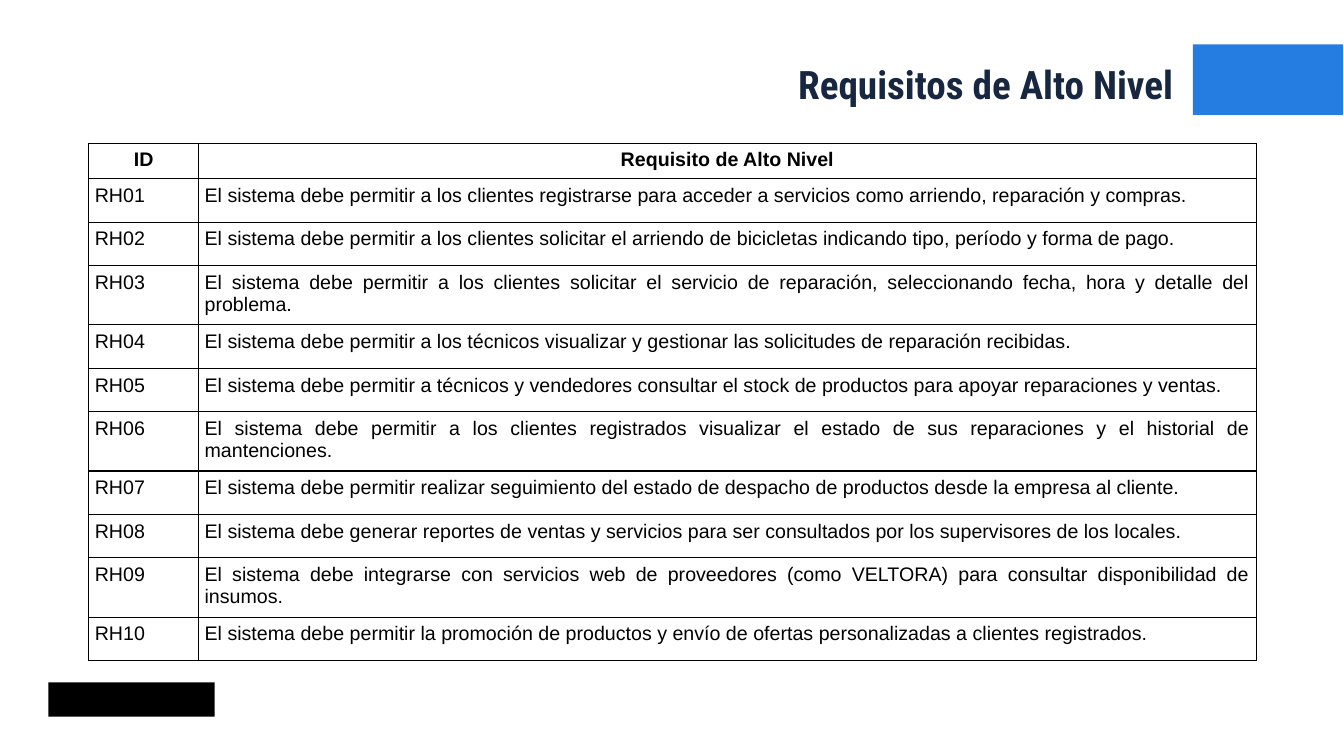
"""Builds the slide that lists the high-level requirements."""
from lxml import etree
from pptx import Presentation
from pptx import util as u
from pptx.dml.color import RGBColor
from pptx.enum import shapes, text
from pptx.oxml import ns

BLACK = RGBColor(0x00, 0x00, 0x00)
BLUE = RGBColor(0x25, 0x7C, 0xE1)
NAVY = RGBColor(0x17, 0x27, 0x40)

REQUIREMENTS = [
    "El sistema debe permitir a los clientes registrarse para acceder a servicios como arriendo, reparación y compras.",
    "El sistema debe permitir a los clientes solicitar el arriendo de bicicletas indicando tipo, período y forma de pago.",
    "El sistema debe permitir a los clientes solicitar el servicio de reparación, seleccionando fecha, hora y detalle del problema.",
    "El sistema debe permitir a los técnicos visualizar y gestionar las solicitudes de reparación recibidas.",
    "El sistema debe permitir a técnicos y vendedores consultar el stock de productos para apoyar reparaciones y ventas.",
    "El sistema debe permitir a los clientes registrados visualizar el estado de sus reparaciones y el historial de mantenciones.",
    "El sistema debe permitir realizar seguimiento del estado de despacho de productos desde la empresa al cliente.",
    "El sistema debe generar reportes de ventas y servicios para ser consultados por los supervisores de los locales.",
    "El sistema debe integrarse con servicios web de proveedores (como VELTORA) para consultar disponibilidad de insumos.",
    "El sistema debe permitir la promoción de productos y envío de ofertas personalizadas a clientes registrados.",
]
TWO_LINE_ROWS = (3, 6, 9)


class SlideBuilder:
    """Holds the style and the current slide."""

    title_font = "Roboto Condensed"
    table_font = "Arial"
    cell_margin = u.Inches(0.06)

    def __init__(self, slide):
        self.slide = slide

    def block(self, left, top, width, height, color):
        """Adds a plain filled rectangle."""
        shape = self.slide.shapes.add_shape(
            shapes.MSO_SHAPE.RECTANGLE, *map(u.Inches, (left, top, width, height)))
        shape.shadow.inherit = False
        shape.fill.solid()
        shape.fill.fore_color.rgb = color
        shape.line.fill.background()

    def title(self, left, top, width, height, wording):
        """Adds the right-aligned title."""
        shape = self.slide.shapes.add_textbox(*map(u.Inches, (left, top, width, height)))
        shape.text_frame.word_wrap = True
        shape.text_frame.text = wording
        paragraph = shape.text_frame.paragraphs[0]
        paragraph.line_spacing = 0.9
        self.style(paragraph, text.PP_ALIGN.RIGHT, self.title_font, 28, NAVY, True)

    def style(self, paragraph, alignment, name, size, color, bold):
        """Formats a paragraph and its runs."""
        paragraph.alignment = alignment
        for run in paragraph.runs:
            run.font.name = name
            run.font.size = u.Pt(size)
            run.font.color.rgb = color
            run.font.bold = bold

    def border(self, cell):
        """Draws a thin black line on each side of a cell."""
        properties = cell._tc.get_or_add_tcPr()
        for side in ("a:lnL", "a:lnR", "a:lnT", "a:lnB"):
            line = etree.SubElement(properties, ns.qn(side), w=str(u.Pt(1)))
            fill = etree.SubElement(line, ns.qn("a:solidFill"))
            etree.SubElement(fill, ns.qn("a:srgbClr"), val=str(BLACK))

    def table(self, left, top, widths, heights, rows):
        """Adds a bordered table with a bold, centred header."""
        table = self.slide.shapes.add_table(
            len(rows), len(widths), u.Inches(left), u.Inches(top),
            u.Inches(sum(widths)), u.Inches(sum(heights))).table
        for column, width in zip(table.columns, widths):
            column.width = u.Inches(width)
        for index, (row, height, wordings) in enumerate(zip(table.rows, heights, rows)):
            row.height = u.Inches(height)
            header = index == 0
            alignment = text.PP_ALIGN.CENTER if header else text.PP_ALIGN.JUSTIFY
            for cell, wording in zip(row.cells, wordings):
                cell.margin_left = cell.margin_right = self.cell_margin
                cell.margin_top = cell.margin_bottom = self.cell_margin
                self.border(cell)
                cell.fill.background()
                cell.text_frame.text = wording
                self.style(cell.text_frame.paragraphs[0], alignment,
                           self.table_font, 14, BLACK, header)


def main():
    """Builds and saves the presentation."""
    presentation = Presentation()
    presentation.slide_width = u.Inches(13.33)
    presentation.slide_height = u.Inches(7.5)
    builder = SlideBuilder(presentation.slides.add_slide(presentation.slide_layouts[6]))

    builder.block(0.48, 6.77, 1.65, 0.34, BLACK)
    builder.block(11.83, 0.44, 1.49, 0.7, BLUE)
    builder.title(5.24, 0.6, 6.49, 1.02, "Requisitos de Alto Nivel")

    rows = [("ID", "Requisito de Alto Nivel")]
    rows += [(f"RH{number:02}", wording) for number, wording in enumerate(REQUIREMENTS, 1)]
    heights = [0.35] + [0.59 if number in TWO_LINE_ROWS else 0.43
                        for number in range(1, len(rows))]
    builder.table(0.88, 1.42, (1.09, 10.49), heights, rows)

    presentation.save("out.pptx")


if __name__ == "__main__":
    main()
